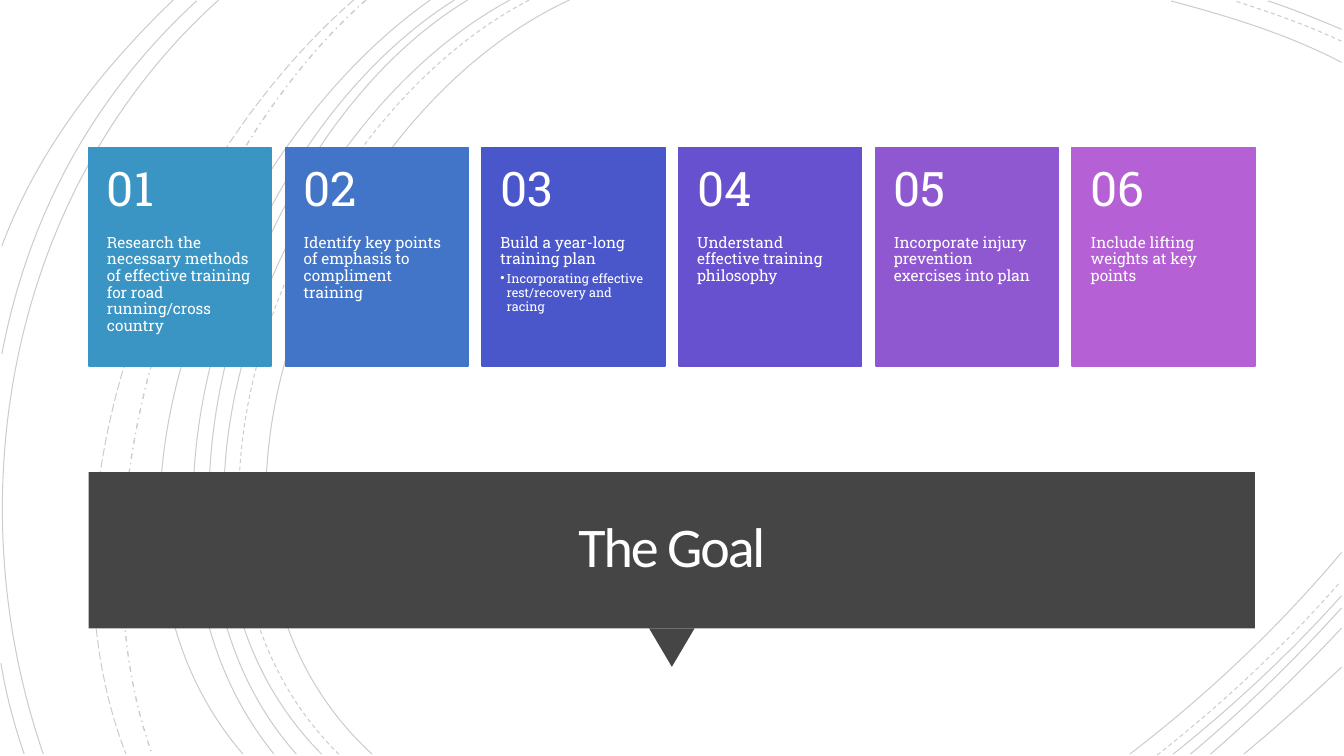
"""Build a slide with six numbered goal cards above a title banner."""
from lxml import etree
from pptx import Presentation
from pptx.dml.color import RGBColor
from pptx.enum.dml import MSO_LINE
from pptx.enum.shapes import MSO_SHAPE
from pptx.enum.text import MSO_ANCHOR, PP_ALIGN
from pptx.oxml.ns import qn
from pptx.util import Pt

SOLID, DASH = MSO_LINE.SOLID, MSO_LINE.DASH
DASH_DOT, LONG_DASH = MSO_LINE.DASH_DOT, MSO_LINE.LONG_DASH
RECTANGLE, TRIANGLE = MSO_SHAPE.RECTANGLE, MSO_SHAPE.ISOSCELES_TRIANGLE
TOP, MIDDLE = MSO_ANCHOR.TOP, MSO_ANCHOR.MIDDLE
LEFT, CENTER = PP_ALIGN.LEFT, PP_ALIGN.CENTER

SLIDE_WIDTH, SLIDE_HEIGHT = 960, 540
CARDS_BOX = (63.4, 105.3, 833, 156.2)
BANNER_BOX = (63.4, 337.2, 833, 111.7)
CARD_WIDTH = 130.4

COLORS = {
    "arc": "000000", "banner": "454545", "text": "FFFFFF",
    "01": "3B95C4", "02": "4275C7", "03": "4A57CB",
    "04": "6751CE", "05": "8F58D1", "06": "B560D4",
}
CARDS = [
    ("01", "Research the necessary methods of effective training for road running/cross country", None),
    ("02", "Identify key points of emphasis to compliment training", None),
    ("03", "Build a year-long training plan", "Incorporating effective rest/recovery and racing"),
    ("04", "Understand effective training philosophy", None),
    ("05", "Incorporate injury prevention exercises into plan", None),
    ("06", "Include lifting weights at key points", None),
]
NUMBER_FRAME = {
    "word_wrap": True, "vertical_anchor": MIDDLE, "margin_left": Pt(13),
    "margin_right": Pt(13), "margin_top": Pt(13), "margin_bottom": Pt(13),
}
BODY_FRAME = {**NUMBER_FRAME, "vertical_anchor": TOP, "margin_top": Pt(0), "margin_bottom": Pt(26)}
TITLE_FRAME = {
    "word_wrap": True, "vertical_anchor": MIDDLE, "margin_left": Pt(18),
    "margin_right": Pt(18), "margin_top": Pt(18), "margin_bottom": Pt(18),
}
CARD_PARAGRAPH = {"alignment": LEFT, "line_spacing": 0.9, "space_after": Pt(3.5)}
TITLE_PARAGRAPH = {"alignment": CENTER, "line_spacing": 0.85}
NUMBER_FONT = {"name": "Roboto Slab", "size": Pt(34)}
BODY_FONT = {"name": "Roboto Slab", "size": Pt(11)}
DETAIL_FONT = {"name": "Roboto Slab", "size": Pt(9)}
TITLE_FONT = {"name": "Calibri", "size": Pt(40)}

ARCS = [
    (SOLID, 0.75, (406.8, 0), (226.8, 82.8), (103, 388.8), (265.7, 538.6)),
    (SOLID, 0.75, (958.3, 44.6), (920.2, 24.5), (877, 11.5), (836.6, 0.7)),
    (SOLID, 0.75, (807.1, 538.6), (861.8, 496.8), (913.7, 447.8), (958.3, 394.6)),
    (DASH, 0.75, (378, 0), (205.2, 90), (88.6, 386.6), (241.9, 538.6)),
    (DASH, 0.75, (958.3, 29.5), (933.8, 18), (907.2, 8.6), (882, 0.7)),
    (DASH, 0.75, (826.6, 539.3), (873.4, 502.6), (918, 460.8), (957.6, 415.4)),
    (SOLID, 0.75, (364.3, 0), (194.4, 91.4), (79.2, 386.6), (229.7, 538.6)),
    (SOLID, 0.75, (958.3, 20.9), (941, 13.7), (923.8, 6.5), (905.8, 0.7)),
    (SOLID, 0.75, (838.1, 538.6), (880.6, 504.7), (921.6, 466.6), (958.3, 425.5)),
    (SOLID, 0.75, (334.1, 0), (175.7, 95.8), (79.2, 389.5), (211.7, 538.6)),
    (SOLID, 0.75, (850.3, 538.6), (888.5, 506.9), (924.5, 471.6), (958.3, 434.2)),
    (SOLID, 0.75, (324.7, 0), (166.3, 99.4), (69.8, 383.8), (195.8, 538.6)),
    (SOLID, 0.75, (864.7, 538.6), (897.1, 510.5), (928.8, 480.2), (958.3, 448.6)),
    (SOLID, 0.75, (307.4, 0), (156.2, 105.8), (38.2, 380.9), (173.5, 538.6)),
    (SOLID, 0.75, (888.5, 538.6), (912.2, 519.1), (935.3, 498.2), (958.3, 476.6)),
    (DASH_DOT, 1, (261.4, 0), (126.7, 119.5), (46.8, 366.5), (108.7, 538.6)),
    (LONG_DASH, 0.75, (252.7, 0), (113, 121.7), (20.9, 359.3), (90, 538.6)),
    (SOLID, 0.75, (156.2, 0), (7.9, 133.2), (-33.1, 352.8), (31, 538.6)),
    (SOLID, 0.75, (140.4, 0.7), (66.2, 69.1), (20.2, 154.1), (1.4, 252.7)),
    (SOLID, 0.75, (0.7, 473.8), (4.3, 496.1), (10.1, 517.7), (17.3, 538.6)),
    (SOLID, 0.75, (123.8, 0), (72, 49.7), (26.6, 108), (1.4, 175.7)),
]


def color(name):
    """Return the palette colour with the given name."""
    return RGBColor.from_string(COLORS[name])


def apply_format(target, values):
    """Set each format value on the target."""
    for name, value in values.items():
        setattr(target, name, value)


def place(shape, box):
    """Move and size a shape to a box in points."""
    apply_format(shape, dict(zip(("left", "top", "width", "height"), map(Pt, box))))


def write_paragraph(paragraph, text, paragraph_format, font_format):
    """Fill a paragraph with one formatted run and return the run."""
    apply_format(paragraph, paragraph_format)
    run = paragraph.add_run()
    run.text = text
    apply_format(run.font, font_format)
    run.font.color.rgb = color("text")
    return run


def add_filled_shape(slide, kind, box, color_name):
    """Add a plain filled shape without shadow or outline."""
    shape = slide.shapes.add_shape(kind, *map(Pt, box))
    shape.shadow.inherit = False
    shape.fill.solid()
    shape.fill.fore_color.rgb = color(color_name)
    shape.line.fill.background()
    return shape


def add_text_box(slide, box, frame_format):
    """Add a formatted text box and return its text frame."""
    frame = slide.shapes.add_textbox(*map(Pt, box)).text_frame
    apply_format(frame, frame_format)
    return frame


def bend(shape):
    """Turn the three segments of a freeform into one cubic curve."""
    outline = shape.element.find(f".//{qn('a:path')}")
    curve = etree.SubElement(outline, qn("a:cubicBezTo"))
    for segment in outline.findall(qn("a:lnTo")):
        curve.append(segment[0])
        outline.remove(segment)


def add_arcs(slide):
    """Draw the faint background arcs."""
    for dash, width, *controls in ARCS:
        points = [(Pt(x), Pt(y)) for x, y in controls]
        builder = slide.shapes.build_freeform(*points[0])
        builder.add_line_segments(points[1:], close=False)
        arc = builder.convert_to_shape()
        bend(arc)
        arc.shadow.inherit = False
        arc.fill.background()
        apply_format(arc.line, {"width": Pt(width), "dash_style": dash})
        arc.line.color.rgb = color("arc")
        line_color = arc.element.find(f".//{qn('a:ln')}//{qn('a:srgbClr')}")
        etree.SubElement(line_color, qn("a:alpha"), val="20000")


def add_card(slide, box, number, text, detail):
    """Draw one numbered card with its text and optional bullet."""
    left, top, width, height = box
    card = add_filled_shape(slide, RECTANGLE, box, number)
    card.line.color.rgb = color(number)
    card.line.width = Pt(1.25)
    number_height = height * 0.4
    body = add_text_box(slide, (left, top + number_height, width, height - number_height), BODY_FRAME)
    write_paragraph(body.paragraphs[0], text, CARD_PARAGRAPH, BODY_FONT)
    if detail:
        paragraph = body.add_paragraph()
        paragraph.level = 1
        properties = paragraph._p.get_or_add_pPr()
        properties.set("marL", str(Pt(4.5)))
        properties.set("indent", str(-Pt(4.5)))
        etree.SubElement(properties, qn("a:buChar"), char="•")
        write_paragraph(paragraph, detail, CARD_PARAGRAPH, DETAIL_FONT)
    heading = add_text_box(slide, (left, top, width, number_height), NUMBER_FRAME)
    write_paragraph(heading.paragraphs[0], number, CARD_PARAGRAPH, NUMBER_FONT)


def add_cards(slide, box):
    """Spread the cards evenly across the box."""
    left, top, width, height = box
    pitch = (width - CARD_WIDTH) / (len(CARDS) - 1)
    for index, card in enumerate(CARDS):
        add_card(slide, (left + index * pitch, top, CARD_WIDTH, height), *card)


def add_title_banner(slide, box):
    """Draw the banner with its pointer and put the title on it."""
    left, top, width, height = box
    pointer_box = (left + width / 2 - 16.2, top + height, 32.4, 27.4)
    add_filled_shape(slide, TRIANGLE, pointer_box, "banner").rotation = 180
    banner = add_filled_shape(slide, RECTANGLE, box, "banner")
    title = slide.shapes.title
    place(title, (left + 6.5, top + 6.5, width - 13, height - 13))
    apply_format(title.text_frame, TITLE_FRAME)
    run = write_paragraph(title.text_frame.paragraphs[0], "The Goal", TITLE_PARAGRAPH, TITLE_FONT)
    run.font._element.set("spc", "-150")
    banner.element.addnext(title.element)


def main():
    """Build and save the presentation."""
    presentation = Presentation()
    presentation.slide_width = Pt(SLIDE_WIDTH)
    presentation.slide_height = Pt(SLIDE_HEIGHT)
    slide = presentation.slides.add_slide(presentation.slide_layouts[5])
    add_arcs(slide)
    add_title_banner(slide, BANNER_BOX)
    add_cards(slide, CARDS_BOX)
    presentation.save("out.pptx")


if __name__ == "__main__":
    main()
